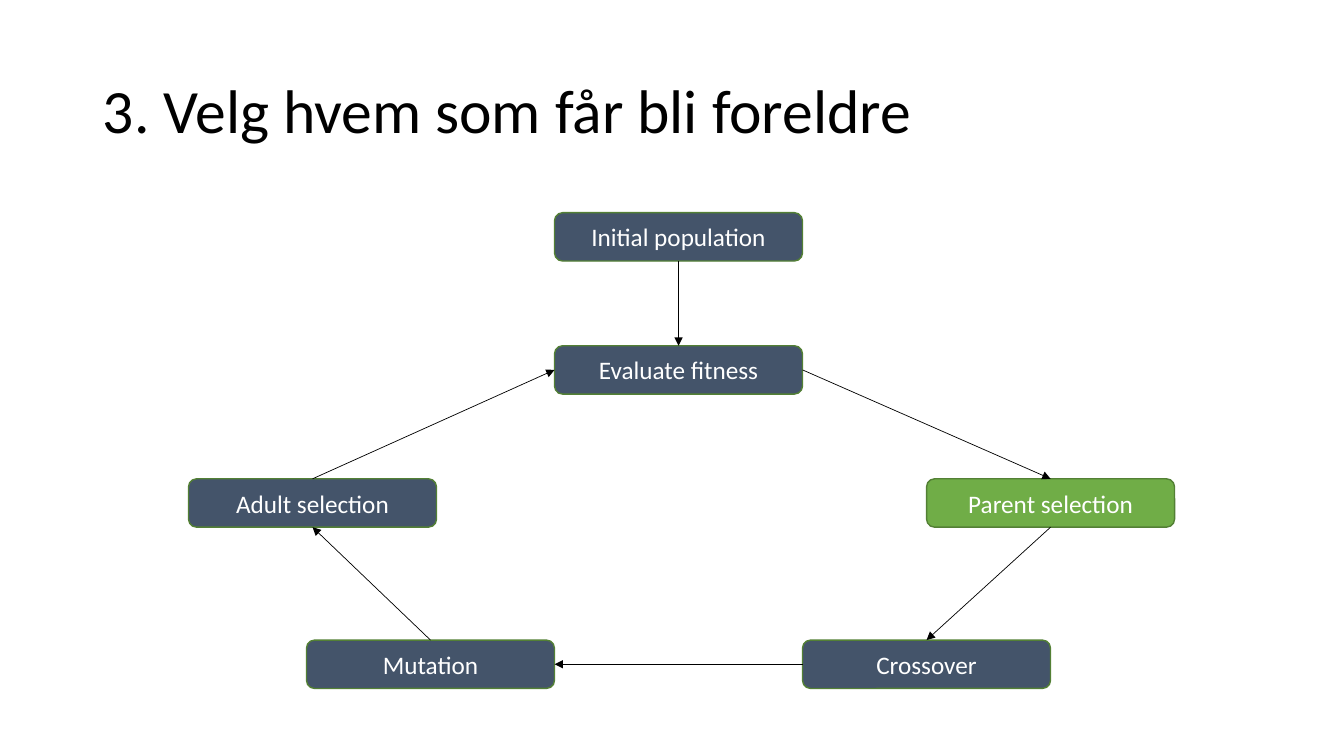
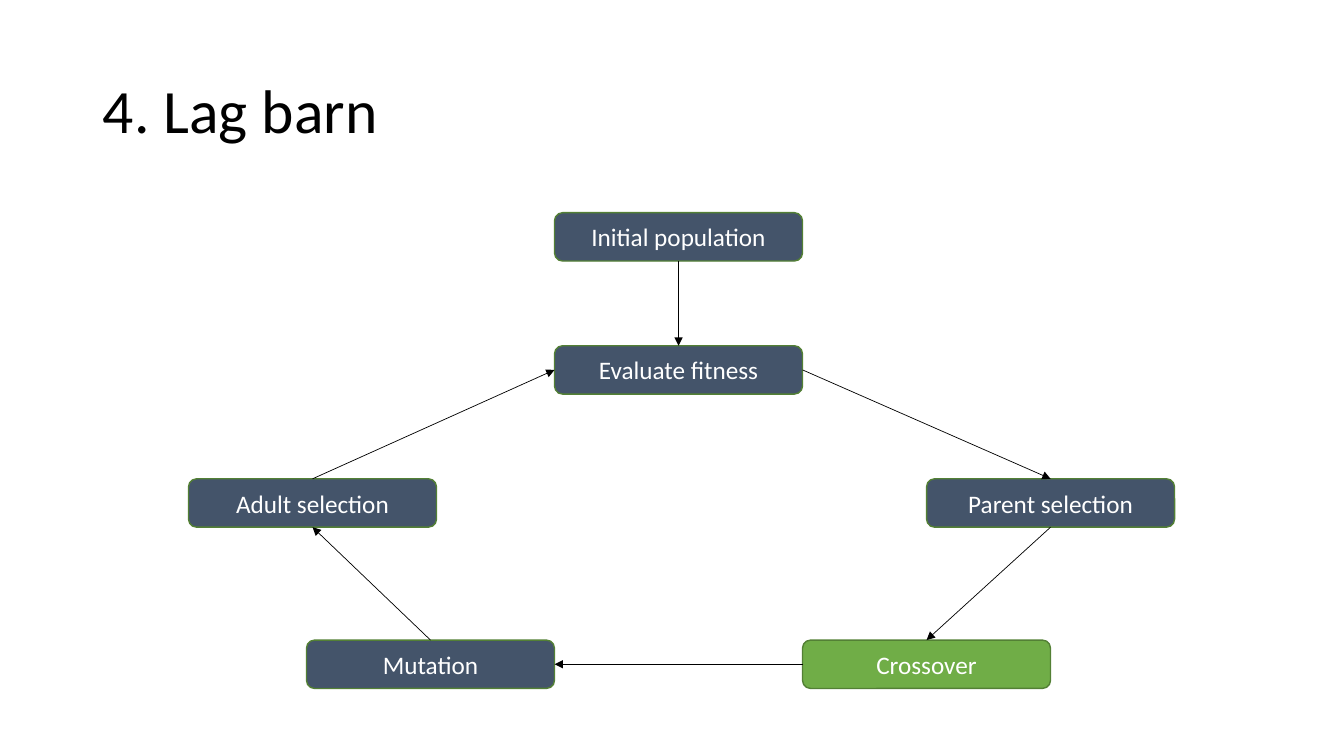
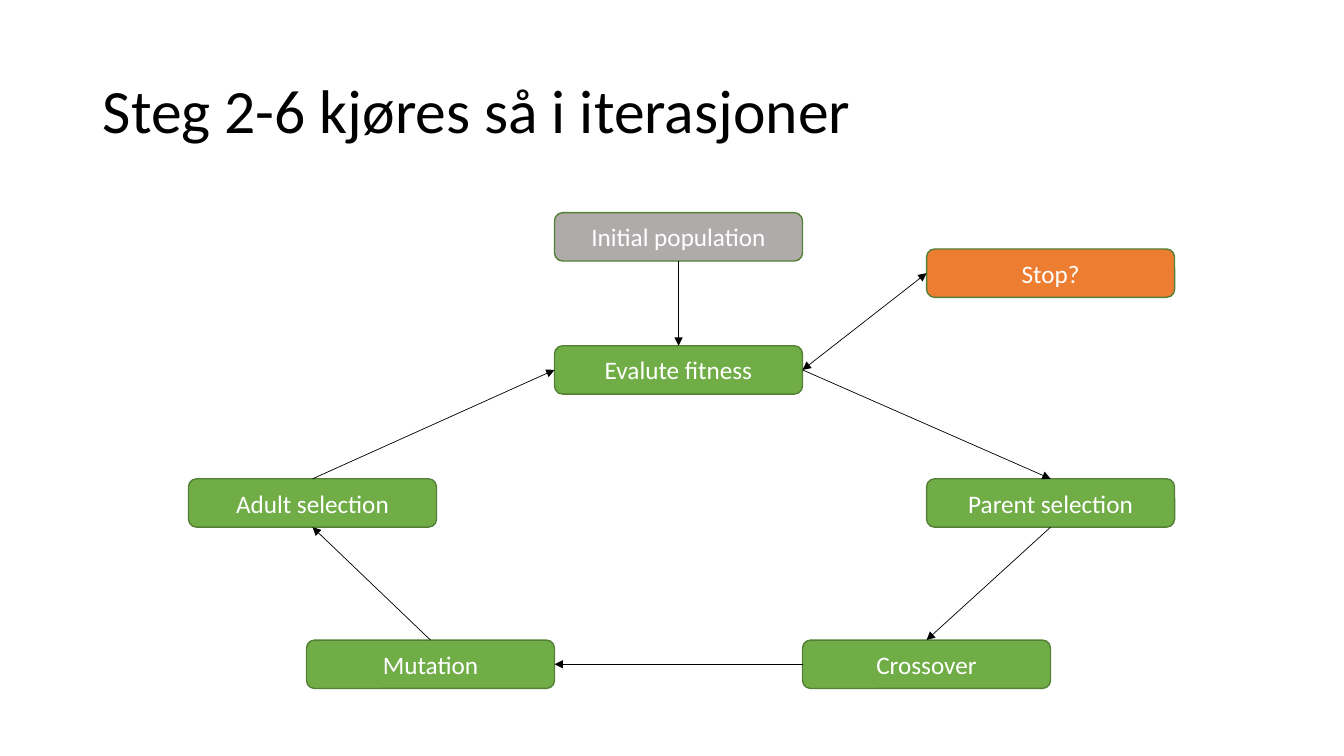
"""Build three slides that walk through the evolutionary algorithm cycle."""
from dataclasses import dataclass

from lxml import etree
from pptx import Presentation
from pptx import util as u
from pptx.dml.color import RGBColor
from pptx.enum import shapes, text
from pptx.oxml import ns


@dataclass(frozen=True)
class Theme:
    """Colours, font and sizes shared by the slides."""
    font: str = "Calibri"
    title_size: int = 44
    node_size: int = 18
    outline_width: float = 1
    arrow_width: float = 0.5
    black: str = "000000"
    white: str = "FFFFFF"
    outline: str = "538035"
    slate: str = "44546A"
    green: str = "70AD47"
    gray: str = "AFABAB"
    orange: str = "ED7D31"


THEME = Theme()
TITLE_BOX = (0.92, 0.4, 11.5, 1.45)
CYCLE_BOX = (1.87, 2.11, 9.78, 4.72)
NODE_WIDTH, NODE_HEIGHT = 2.46, 0.48
CENTER = 3.63
ROW_STEP = 1.32
TOP, LEFT, BOTTOM, RIGHT = range(4)

NODES = {
    "evaluate": ("Evaluate fitness", CENTER, ROW_STEP),
    "initial": ("Initial population", CENTER, 0),
    "parent": ("Parent selection", CENTER + 1.5 * NODE_WIDTH, 2 * ROW_STEP),
    "mutation": ("Mutation", CENTER - NODE_WIDTH, CYCLE_BOX[3] - NODE_HEIGHT),
    "adult": ("Adult selection", 0, 2 * ROW_STEP),
    "crossover": ("Crossover", CENTER + NODE_WIDTH, CYCLE_BOX[3] - NODE_HEIGHT),
    "stop": ("Stop?", CENTER + 1.5 * NODE_WIDTH, 0.36),
}
ARROWS = [
    ("initial", BOTTOM, "evaluate", TOP, ["tailEnd"]),
    ("evaluate", RIGHT, "parent", TOP, ["tailEnd"]),
    ("parent", BOTTOM, "crossover", TOP, ["tailEnd"]),
    ("crossover", LEFT, "mutation", RIGHT, ["tailEnd"]),
    ("mutation", TOP, "adult", BOTTOM, ["tailEnd"]),
    ("adult", TOP, "evaluate", LEFT, ["tailEnd"]),
    ("evaluate", RIGHT, "stop", LEFT, ["headEnd", "tailEnd"]),
]
STEPS = ["evaluate", "initial", "parent", "mutation", "adult", "crossover"]
SLIDES = [
    ("3. Velg hvem som får bli foreldre",
     dict.fromkeys(STEPS, THEME.slate) | {"parent": THEME.green}, {}),
    ("4. Lag barn",
     dict.fromkeys(STEPS, THEME.slate) | {"crossover": THEME.green}, {}),
    ("Steg 2-6 kjøres så i iterasjoner",
     dict.fromkeys(STEPS, THEME.green)
     | {"initial": THEME.gray, "stop": THEME.orange},
     {"evaluate": "Evalute fitness"}),
]


def apply_format(target, values):
    """Set each named attribute on the target."""
    for name, value in values.items():
        setattr(target, name, value)


def write_text(shape, wording, size, color, **paragraph_format):
    """Put one formatted, vertically centred paragraph in a shape."""
    frame = shape.text_frame
    frame.text = wording
    apply_format(frame, {
        "word_wrap": True,
        "auto_size": text.MSO_AUTO_SIZE.NONE,
        "vertical_anchor": text.MSO_ANCHOR.MIDDLE,
    })
    paragraph = frame.paragraphs[0]
    apply_format(paragraph, paragraph_format)
    font = paragraph.runs[0].font
    apply_format(font, {"name": THEME.font, "size": u.Pt(size)})
    font.color.rgb = RGBColor.from_string(color)


def style_line(line, color, width):
    """Give a line its colour and width."""
    line.color.rgb = RGBColor.from_string(color)
    line.width = u.Pt(width)


def add_title(slide, box, wording):
    """Place and format the title placeholder in the box."""
    title = slide.shapes.title
    apply_format(title, dict(zip(("left", "top", "width", "height"), map(u.Inches, box))))
    write_text(title, wording, THEME.title_size, THEME.black,
               alignment=text.PP_ALIGN.LEFT, line_spacing=0.9)


def add_node(slide, left, top, wording, fill):
    """Add one rounded step of the cycle."""
    node = slide.shapes.add_shape(
        shapes.MSO_SHAPE.ROUNDED_RECTANGLE,
        *map(u.Inches, (left, top, NODE_WIDTH, NODE_HEIGHT)))
    node.shadow.inherit = False
    node.fill.solid()
    node.fill.fore_color.rgb = RGBColor.from_string(fill)
    style_line(node.line, THEME.outline, THEME.outline_width)
    write_text(node, wording, THEME.node_size, THEME.white,
               alignment=text.PP_ALIGN.CENTER)
    return node


def add_arrow(slide, start, start_site, end, end_site, heads):
    """Connect two nodes with an arrow."""
    arrow = slide.shapes.add_connector(shapes.MSO_CONNECTOR.STRAIGHT, 0, 0, 0, 0)
    arrow.begin_connect(start, start_site)
    arrow.end_connect(end, end_site)
    style_line(arrow.line, THEME.black, THEME.arrow_width)
    properties = arrow._element.spPr
    outline = properties.find(ns.qn("a:ln"))
    for head in heads:
        etree.SubElement(outline, ns.qn(f"a:{head}"), type="triangle")
    etree.SubElement(properties, ns.qn("a:effectLst"))


def add_cycle(slide, box, fills, renamed):
    """Draw the filled nodes and the arrows between them inside the box."""
    nodes = {}
    for key, fill in fills.items():
        wording, left, top = NODES[key]
        nodes[key] = add_node(slide, box[0] + left, box[1] + top,
                              renamed.get(key, wording), fill)
    for start, start_site, end, end_site, heads in ARROWS:
        if start in nodes and end in nodes:
            add_arrow(slide, nodes[start], start_site, nodes[end], end_site, heads)


def build():
    """Create and save the presentation."""
    presentation = Presentation()
    presentation.slide_width = u.Inches(13.33)
    presentation.slide_height = u.Inches(7.5)
    layout = presentation.slide_layouts.get_by_name("Title Only")
    for wording, fills, renamed in SLIDES:
        slide = presentation.slides.add_slide(layout)
        add_title(slide, TITLE_BOX, wording)
        add_cycle(slide, CYCLE_BOX, fills, renamed)
    presentation.save("out.pptx")


build()
